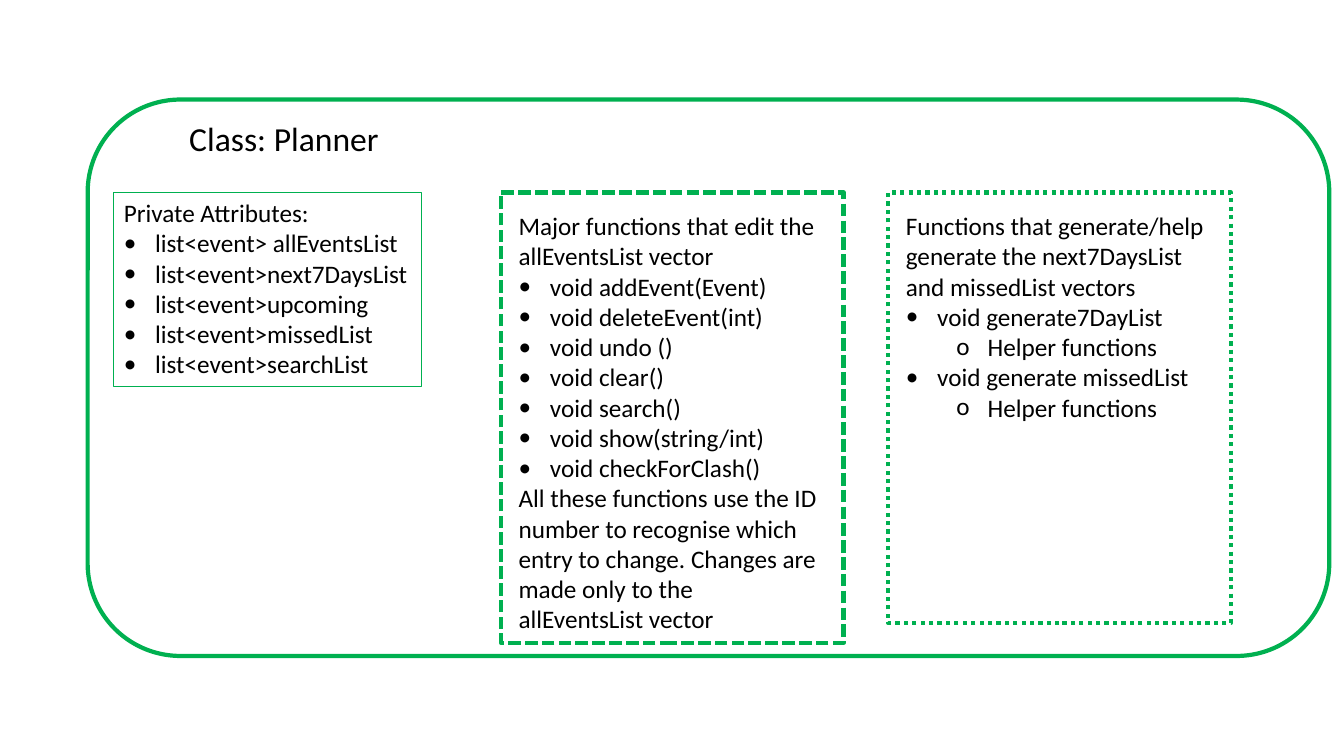
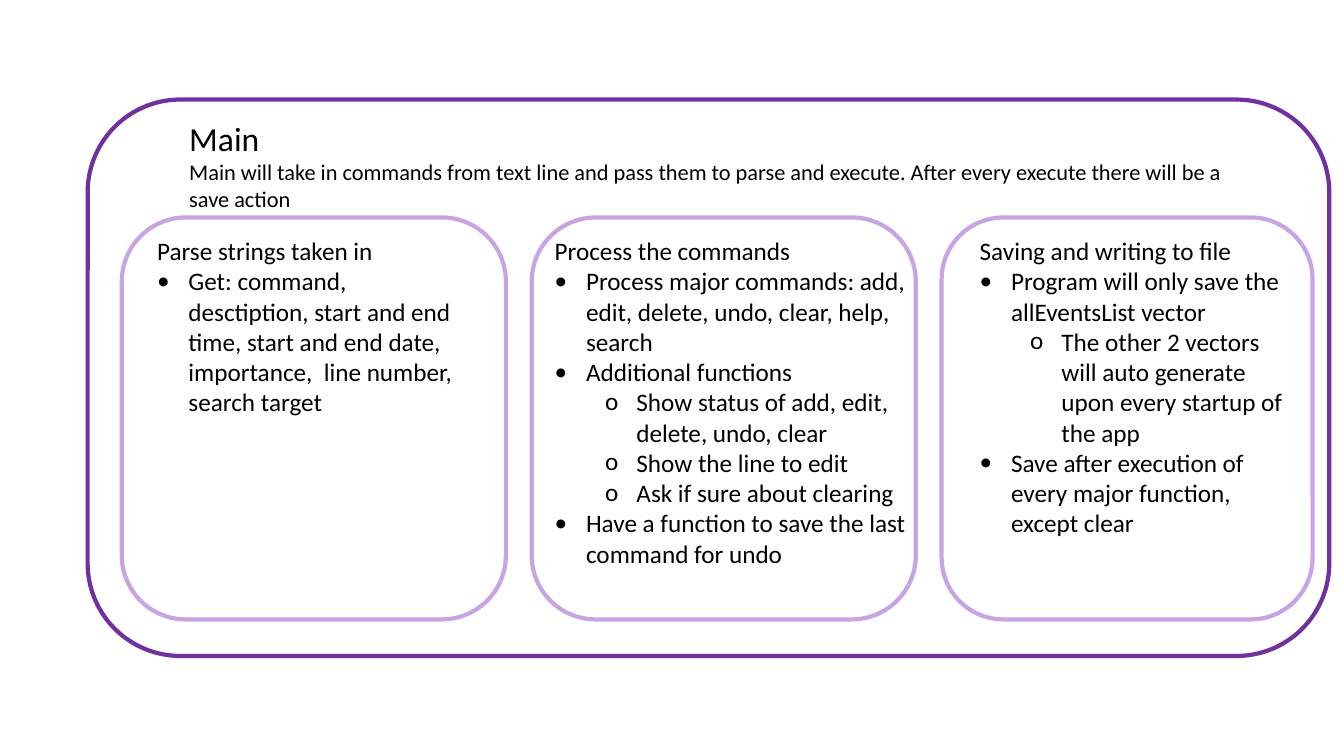
from dataclasses import dataclass
from typing import NamedTuple

from lxml.etree import SubElement
from pptx import Presentation
from pptx.dml.color import RGBColor
from pptx.enum.dml import MSO_LINE
from pptx.enum.shapes import MSO_SHAPE
from pptx.enum.text import MSO_ANCHOR, MSO_AUTO_SIZE, PP_ALIGN
from pptx.oxml.ns import qn
from pptx.util import Cm, Pt


@dataclass(frozen=True)
class Theme:
    font: str = "Calibri"
    text: RGBColor = RGBColor(0, 0, 0)
    green: RGBColor = RGBColor(0x00, 0xB0, 0x50)
    purple: RGBColor = RGBColor(0x70, 0x30, 0xA0)
    lilac: RGBColor = RGBColor(0xC9, 0xA4, 0xE4)
    title_size: int = 24
    body_size: int = 18
    note_size: int = 16
    thick: float = 3
    thin: float = 0.75


class Box(NamedTuple):
    left: float
    top: float
    width: float
    height: float

    def inside(self, left, top, width, height):
        return Box(self.left + left, self.top + top, width, height)

    def lengths(self):
        return [Cm(value) for value in self]


THEME = Theme()
FRAME = Box(2.21, 2.51, 31.29, 14.02)
TEXT_DROP = 0.33
INDENTS = {"•": (0, 0.79), "o": (1, 2.06)}
HANGING = 0.79

ATTRIBUTES = [
    ("", "Private Attributes:"),
    ("•", "list<event> allEventsList"),
    ("•", "list<event>next7DaysList"),
    ("•", "list<event>upcoming"),
    ("•", "list<event>missedList"),
    ("•", "list<event>searchList"),
]
EDITORS = [
    ("", "Major functions that edit the allEventsList vector"),
    ("•", "void addEvent(Event)"),
    ("•", "void deleteEvent(int)"),
    ("•", "void undo ()"),
    ("•", "void clear()"),
    ("•", "void search()"),
    ("•", "void show(string/int)"),
    ("•", "void checkForClash()"),
    ("", "All these functions use the ID number to recognise which entry to change. "
         "Changes are made only to the allEventsList vector"),
]
GENERATORS = [
    ("", "Functions that generate/help generate the next7DaysList and missedList vectors"),
    ("•", "void generate7DayList"),
    ("o", "Helper functions"),
    ("•", "void generate missedList"),
    ("o", "Helper functions"),
]
PARSING = [
    ("", "Parse strings taken in"),
    ("•", "Get: command, desctiption, start and end time, start and end date, "
          "importance,  line number, search target"),
]
PROCESSING = [
    ("", "Process the commands"),
    ("•", "Process major commands: add, edit, delete, undo, clear, help, search"),
    ("•", "Additional functions"),
    ("o", "Show status of add, edit, delete, undo, clear"),
    ("o", "Show the line to edit"),
    ("o", "Ask if sure about clearing"),
    ("•", "Have a function to save the last command for undo"),
]
SAVING = [
    ("", "Saving and writing to file"),
    ("•", "Program will only save the allEventsList vector"),
    ("o", "The other 2 vectors will auto generate upon every startup of the app"),
    ("•", "Save after execution of every major function, except clear"),
]
MAIN_NOTE = ("Main will take in commands from text line and pass them to parse and execute. "
             "After every execute there will be a save action")


def set_bullet(paragraph, character):
    paragraph.level, margin = INDENTS[character]
    properties = paragraph._p.get_or_add_pPr()
    properties.set("marL", str(Cm(margin)))
    properties.set("indent", str(-Cm(HANGING)))
    SubElement(properties, qn("a:buFont")).set("typeface", THEME.font)
    SubElement(properties, qn("a:buChar")).set("char", character)


def add_text(slide, box, lines, *, sizes=(), wrap=True):
    shape = slide.shapes.add_textbox(*box.lengths())
    frame = shape.text_frame
    frame.word_wrap = wrap
    frame.auto_size = MSO_AUTO_SIZE.SHAPE_TO_FIT_TEXT
    frame.vertical_anchor = MSO_ANCHOR.TOP
    for index, (bullet, text) in enumerate(lines):
        paragraph = frame.add_paragraph() if index else frame.paragraphs[0]
        paragraph.alignment = PP_ALIGN.LEFT
        if bullet:
            set_bullet(paragraph, bullet)
        run = paragraph.add_run()
        run.text = text
        run.font.name = THEME.font
        run.font.size = Pt(sizes[index] if sizes else THEME.body_size)
        run.font.color.rgb = THEME.text
    return shape


def set_outline(shape, color, width, dash=None):
    shape.line.color.rgb = color
    shape.line.width = Pt(width)
    if dash:
        shape.line.dash_style = dash


def add_outline(slide, box, color, *, kind=MSO_SHAPE.ROUNDED_RECTANGLE, dash=None):
    shape = slide.shapes.add_shape(kind, *box.lengths())
    shape.shadow.inherit = False
    shape.fill.background()
    set_outline(shape, color, THEME.thick, dash)


def add_frame(slide, box, color, title, note=None):
    add_outline(slide, box, color)
    lines = [("", title)] + ([("", note)] if note else [])
    width, height = (27.53, 2.64) if note else (5.33, 1.27)
    add_text(slide, box.inside(2.31, TEXT_DROP, width, height), lines,
             sizes=(THEME.title_size, THEME.note_size), wrap=bool(note))


def add_panel(slide, box, lines, color, inset, text_width, **outline):
    add_outline(slide, box, color, **outline)
    text_box = box.inside(inset, TEXT_DROP, text_width, box.height - TEXT_DROP)
    add_text(slide, text_box, lines)


def build_planner(slide, box):
    add_frame(slide, box, THEME.green, "Class: Planner")
    top = 2.34
    attributes = add_text(slide, box.inside(0.66, top, 7.75, 4.88), ATTRIBUTES, wrap=False)
    set_outline(attributes, THEME.green, THEME.thin)
    panels = [
        (10.41, 11.35, EDITORS, MSO_LINE.SQUARE_DOT),
        (20.17, 10.85, GENERATORS, MSO_LINE.ROUND_DOT),
    ]
    dashes = {MSO_LINE.SQUARE_DOT: "sysDash", MSO_LINE.ROUND_DOT: "sysDot"}
    for left, height, lines, dash in panels:
        add_panel(slide, box.inside(left, top, 8.64, height), lines, THEME.green,
                  0.2, 8.15, kind=MSO_SHAPE.RECTANGLE, dash=dash)
        line = slide.shapes[-2].line._get_or_add_ln()
        line.find(qn("a:prstDash")).set("val", dashes[dash])


def build_main(slide, box):
    add_frame(slide, box, THEME.purple, "Main", MAIN_NOTE)
    left, gap = 0.86, 0.65
    panels = [
        (9.68, PARSING, 0.64, 8.25),
        (9.68, PROCESSING, 0.33, 9.35),
        (9.35, SAVING, 0.71, 8.25),
    ]
    for width, lines, inset, text_width in panels:
        add_panel(slide, box.inside(left, 2.97, width, 10.13), lines, THEME.lilac,
                  inset, text_width)
        left += width + gap


def main():
    presentation = Presentation()
    presentation.slide_width = Cm(33.87)
    presentation.slide_height = Cm(19.05)
    for build in (build_planner, build_main):
        build(presentation.slides.add_slide(presentation.slide_layouts[6]), FRAME)
    presentation.save("out.pptx")


if __name__ == "__main__":
    main()
